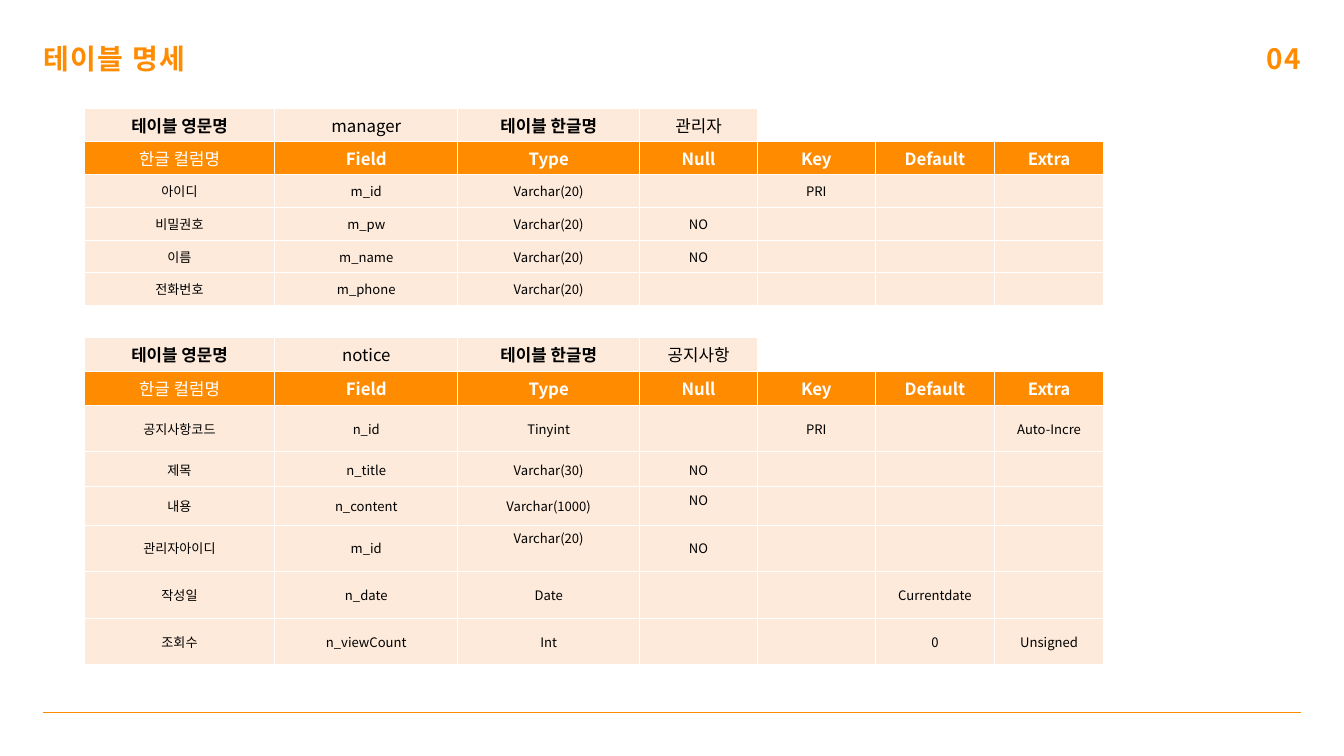
from dataclasses import dataclass
from typing import Any

from lxml import etree
from pptx import Presentation
from pptx import util as u
from pptx.dml.color import RGBColor
from pptx.enum import shapes, text
from pptx.oxml import ns


@dataclass(frozen=True)
class Theme:
    orange: RGBColor = RGBColor(0xFF, 0x8C, 0x00)
    peach: RGBColor = RGBColor(0xFD, 0xEA, 0xDA)
    white: RGBColor = RGBColor(0xFF, 0xFF, 0xFF)
    black: RGBColor = RGBColor(0, 0, 0)
    title_font: str = "Noto Sans CJK SC"
    table_font: str = "Noto Sans CJK KR"
    title_size: int = 30
    header_size: int = 18
    body_size: int = 14


@dataclass(frozen=True)
class Column:
    label: str
    width: float


@dataclass(frozen=True)
class TableSpec:
    english_name: str
    korean_name: str
    top: float
    row_heights: list[float]
    fields: list[list[str]]
    top_anchored: frozenset[tuple[int, int]] = frozenset()


THEME = Theme()
MARGIN, SLIDE_WIDTH = 1.63, 50.8
TABLE_LEFT = 3.18
COLUMNS = [
    Column("한글 컬럼명", 7.21), Column("Field", 6.91), Column("Type", 6.88),
    Column("Null", 4.45), Column("Key", 4.45), Column("Default", 4.52),
    Column("Extra", 4.11),
]
TABLES = [
    TableSpec("manager", "관리자", 4.11, [1.24] * 6, [
        ["아이디", "m_id", "Varchar(20)", "", "PRI", "", ""],
        ["비밀권호", "m_pw", "Varchar(20)", "NO", "", "", ""],
        ["이름", "m_name", "Varchar(20)", "NO", "", "", ""],
        ["전화번호", "m_phone", "Varchar(20)", "", "", "", ""],
    ]),
    TableSpec("notice", "공지사항", 12.75, [1.27, 1.3, 1.76, 1.32, 1.44, 1.76, 1.76, 1.76], [
        ["공지사항코드", "n_id", "Tinyint", "", "PRI", "", "Auto-Incre"],
        ["제목", "n_title", "Varchar(30)", "NO", "", "", ""],
        ["내용", "n_content", "Varchar(1000)", "NO", "", "", ""],
        ["관리자아이디", "m_id", "Varchar(20)", "NO", "", "", ""],
        ["작성일", "n_date", "Date", "", "", "Currentdate", ""],
        ["조회수", "n_viewCount", "Int", "", "", "0", "Unsigned"],
    ], frozenset({(4, 3), (5, 2)})),
]


def set_attributes(target: Any, values: dict[str, Any]) -> None:
    for name, value in values.items():
        setattr(target, name, value)


def add_run(paragraph: Any, content: str, font: str, size: int, color: RGBColor, bold: bool) -> Any:
    run = paragraph.add_run()
    run.text = content
    set_attributes(run.font, {"name": font, "size": u.Pt(size), "bold": bold})
    run.font.color.rgb = color
    properties = run.font._element
    etree.SubElement(properties, ns.qn("a:ea"), typeface=font)
    return properties


def draw_heading(shape: Any, content: str, left: float, width: float,
                 alignment: Any, wrap: bool) -> None:
    set_attributes(shape, {"left": u.Cm(left), "top": u.Cm(1.68),
                           "width": u.Cm(width), "height": u.Cm(1.22)})
    set_attributes(shape.text_frame, {
        "margin_left": 0, "margin_top": 0, "margin_right": 0, "margin_bottom": 0,
        "word_wrap": wrap, "vertical_anchor": text.MSO_ANCHOR.TOP,
        "auto_size": text.MSO_AUTO_SIZE.SHAPE_TO_FIT_TEXT,
    })
    paragraph = shape.text_frame.paragraphs[0]
    set_attributes(paragraph, {"alignment": alignment, "line_spacing": u.Pt(33)})
    properties = add_run(paragraph, content, THEME.title_font, THEME.title_size, THEME.orange, True)
    properties.set("spc", "160")


def add_borders(cell: Any) -> None:
    properties = cell._tc.get_or_add_tcPr()
    for side in ("lnL", "lnR", "lnT", "lnB"):
        line = etree.SubElement(properties, ns.qn(f"a:{side}"), w=str(u.Pt(1)))
        fill = etree.SubElement(line, ns.qn("a:solidFill"))
        etree.SubElement(fill, ns.qn("a:srgbClr"), val=str(THEME.white))


def cell_style(row: int, column: int) -> tuple[RGBColor, RGBColor, int, bool]:
    """Return fill, text colour, size and bold for a cell."""
    if row == 0:
        fill = THEME.peach if column < 4 else THEME.white
        return fill, THEME.black, THEME.header_size, column in (0, 2)
    if row == 1:
        return THEME.orange, THEME.white, THEME.header_size, column > 0
    return THEME.peach, THEME.black, THEME.body_size, False


def draw_table(slide: Any, spec: TableSpec) -> None:
    rows = [
        ["테이블 영문명", spec.english_name, "테이블 한글명", spec.korean_name, "", "", ""],
        [column.label for column in COLUMNS],
        *spec.fields,
    ]
    table = slide.shapes.add_table(
        len(rows), len(COLUMNS), u.Cm(TABLE_LEFT), u.Cm(spec.top),
        u.Cm(sum(column.width for column in COLUMNS)), u.Cm(sum(spec.row_heights))).table
    for table_column, column in zip(table.columns, COLUMNS):
        table_column.width = u.Cm(column.width)
    for row, (values, height) in enumerate(zip(rows, spec.row_heights)):
        table.rows[row].height = u.Cm(height)
        for column, content in enumerate(values):
            cell = table.cell(row, column)
            fill, color, size, bold = cell_style(row, column)
            add_borders(cell)
            cell.fill.solid()
            cell.fill.fore_color.rgb = fill
            at_top = (row, column) in spec.top_anchored
            cell.vertical_anchor = text.MSO_ANCHOR.TOP if at_top else text.MSO_ANCHOR.MIDDLE
            if row == 0:
                set_attributes(cell, {
                    "margin_left": u.Cm(0.18), "margin_right": u.Cm(0.18),
                    "margin_top": u.Cm(0.05), "margin_bottom": u.Cm(0.05)})
            if content:
                paragraph = cell.text_frame.paragraphs[0]
                paragraph.alignment = text.PP_ALIGN.CENTER
                add_run(paragraph, content, THEME.table_font, size, color, bold)


def draw_footer_line(slide: Any) -> None:
    y = u.Cm(26.92)
    line = slide.shapes.add_connector(
        shapes.MSO_CONNECTOR.STRAIGHT, u.Cm(MARGIN), y, u.Cm(SLIDE_WIDTH - MARGIN), y)
    line.line.color.rgb = THEME.orange
    line.line.width = u.Pt(1.5)
    etree.SubElement(line._element.spPr, ns.qn("a:effectLst"))


def main() -> None:
    presentation = Presentation()
    presentation.slide_width = u.Cm(SLIDE_WIDTH)
    presentation.slide_height = u.Cm(SLIDE_WIDTH * 9 / 16)
    slide = presentation.slides.add_slide(presentation.slide_layouts[5])

    # Footer rule
    draw_footer_line(slide)

    # Title and page number
    draw_heading(slide.shapes.title, "테이블 명세", MARGIN, 10.31, text.PP_ALIGN.LEFT, True)
    number_width = 1.35
    number = slide.shapes.add_textbox(0, 0, 0, 0)
    draw_heading(number, "04", SLIDE_WIDTH - MARGIN - number_width, number_width,
                 text.PP_ALIGN.RIGHT, False)

    # Table specifications
    for spec in TABLES:
        draw_table(slide, spec)

    presentation.save("out.pptx")


if __name__ == "__main__":
    main()
